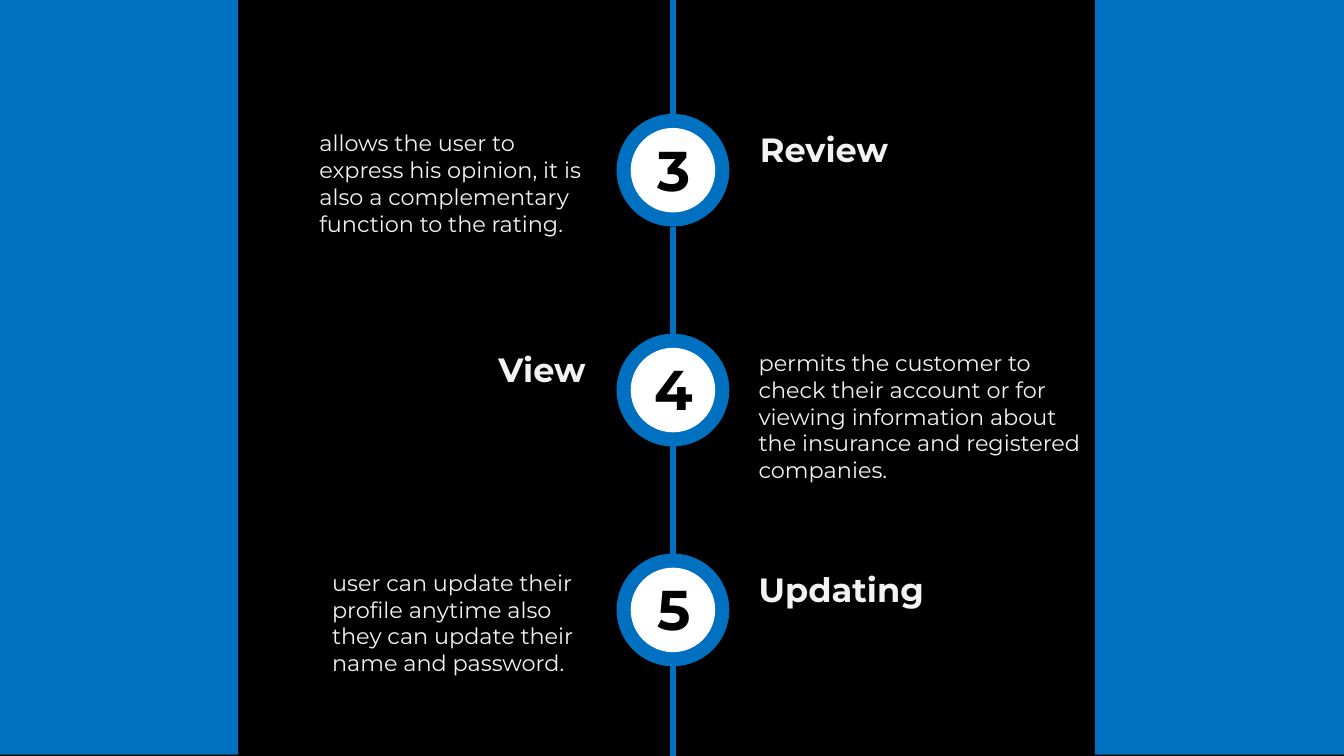
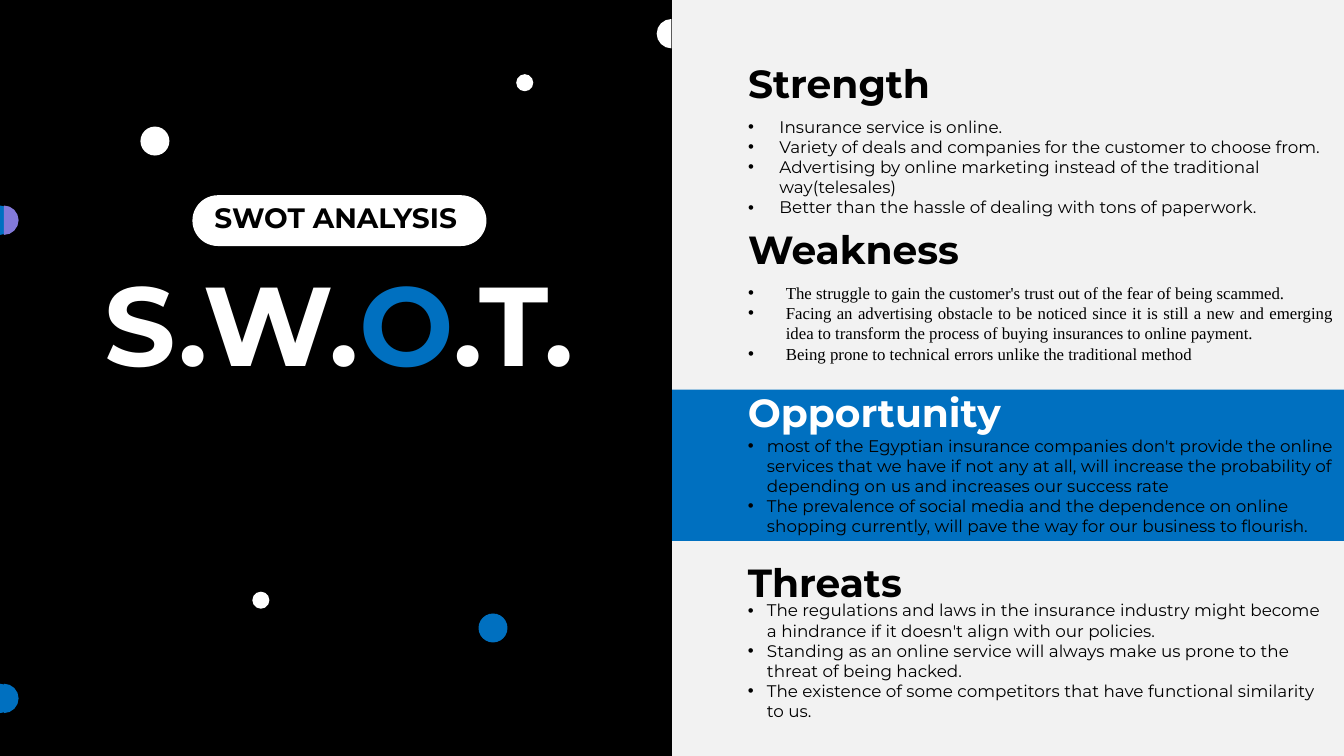
from lxml.etree import SubElement
from math import cos, pi, sin
from pptx import Presentation
from pptx.dml.color import RGBColor
from pptx.enum.shapes import MSO_CONNECTOR as Link, MSO_SHAPE as Kind
from pptx.enum.text import MSO_ANCHOR as Anchor, MSO_AUTO_SIZE as Auto, PP_ALIGN as Align
from pptx.oxml.ns import qn
from pptx.util import Cm, Pt

# Shared style
BLUE, BLACK, WHITE, PALE, PURPLE = "0070C0", "000000", "FFFFFF", "F2F2F2", "837AD9"
SANS, SERIF = "Montserrat", "Times New Roman"
WIDE, HIGH = 33.87, 19.05

# Timeline: number, (title, left, width, align), (text, left, width)
STEPS = [
    ("3", ("Review", 18.9, 9.22, Align.LEFT),
     ("allows the user to express his opinion, it is also a complementary "
      "function to the rating.", 7.8, 7.44)),
    ("4", ("View", 5.84, 9.17, Align.RIGHT),
     ("permits the customer to check their account or for viewing information "
      "about the insurance and registered companies.", 18.87, 8.64)),
    ("5", ("Updating", 18.87, 9.19, Align.LEFT),
     ("user can update their profile anytime also they can update their name "
      "and password.", 8.12, 7.06)),
]
AXIS, FIRST, STEP, RING, CORE = 16.96, 2.87, 5.54, 2.84, 2.13

# SWOT: title, colour, top, list top, indent, font, align, items
PARTS = [
    ("Strength", BLACK, 1.36, 2.81, 0.79, SANS, Align.LEFT, [
        "Insurance service is online.",
        "Variety of deals and companies for the customer to choose from.",
        "Advertising by online marketing instead of the traditional way(telesales)",
        "Better than the hassle of dealing with tons of paperwork."]),
    ("Weakness", BLACK, 5.56, 7, 0.95, SERIF, Align.JUSTIFY, [
        "The struggle to gain the customer's trust out of the fear of being scammed.",
        "Facing an advertising obstacle to be noticed since it is still a new and "
        "emerging idea to transform the process of buying insurances to online payment.",
        "Being prone to technical errors unlike the traditional method"]),
    ("Opportunity", WHITE, 9.66, 10.85, 0.48, SANS, Align.LEFT, [
        "most of the Egyptian insurance companies don't provide the online services "
        "that we have if not any at all, will increase the probability of depending "
        "on us and increases our success rate",
        "The prevalence of social media and the dependence on online shopping "
        "currently, will pave the way for our business to flourish."]),
    ("Threats", BLACK, 13.94, 15, 0.48, SANS, Align.LEFT, [
        "The regulations and laws in the insurance industry might become a hindrance "
        "if it doesn't align with our policies.",
        "Standing as an online service will always make us prone to the threat of "
        "being hacked.",
        "The existence of some competitors that have functional similarity to us."]),
]
LETTERS = [("S.W.", WHITE), ("O", BLUE), (".T.", WHITE)]
DOTS = [(3.54, 3.19, 0.73, WHITE), (6.36, 14.91, 0.43, WHITE),
        (13.01, 1.87, 0.43, WHITE), (12.06, 15.46, 0.73, BLUE)]
# Half dots: flat edge, middle, side (1 right, -1 left), colour
HALVES = [(0, 17.6, 1, BLUE), (0.1, 17.6, 1, BLUE), (0, 5.55, 1, BLUE),
          (0.1, 5.55, 1, PURPLE), (16.92, 0.85, -1, WHITE)]


def tint(code):
    return RGBColor.from_string(code)


def paint(shape, color):
    shape.shadow.inherit = False
    shape.fill.solid()
    shape.fill.fore_color.rgb = tint(color)
    shape.line.fill.background()
    return shape


def block(slide, kind, x, y, w, h, color):
    return paint(slide.shapes.add_shape(kind, Cm(x), Cm(y), Cm(w), Cm(h)), color)


def half(slide, x, y, side, color, r=0.37, cuts=8):
    turns = [pi * i / cuts - pi / 2 for i in range(cuts + 1)]
    rim = [(Cm(x + side * r * cos(t)), Cm(y + r * sin(t))) for t in turns]
    outline = slide.shapes.build_freeform(*rim[0])
    outline.add_line_segments(rim[1:], close=True)
    paint(outline.convert_to_shape(), color)


def rule(slide, top, end):
    line = slide.shapes.add_connector(Link.STRAIGHT, Cm(AXIS), Cm(top), Cm(AXIS), Cm(end))
    line.line.color.rgb, line.line.width = tint(BLUE), Pt(4.5)
    SubElement(line.element.spPr, qn("a:effectLst"))


def place(slide, x, y, w, h, holder=None):
    """Put a placeholder, or a new text box, on top at the given place."""
    box = holder or slide.shapes.add_textbox(0, 0, 0, 0)
    box.left, box.top, box.width, box.height = Cm(x), Cm(y), Cm(w), Cm(h)
    box.element.getparent().append(box.element)
    frame = box.text_frame
    frame.word_wrap, frame.auto_size = True, Auto.NONE
    frame.vertical_anchor = Anchor.TOP
    return frame


def write(frame, lines, size, color, bold=False, align=Align.LEFT, face=SANS, indent=0):
    frame.text = "\n".join(lines)
    for para in frame.paragraphs:
        para.alignment, para.space_before = align, Pt(0)
        if indent:
            props = para._p.get_or_add_pPr()
            props.set("marL", str(Cm(indent)))
            props.set("indent", str(-Cm(indent)))
            SubElement(props, qn("a:buFont"), typeface="Arial")
            SubElement(props, qn("a:buChar"), char="•")
        font = para.font
        font.name, font.size, font.bold = face, Pt(size), bold
        font.color.rgb = tint(color)


def start(deck, layout, color):
    slide = deck.slides.add_slide(deck.slide_layouts[layout])
    slide.background.fill.solid()
    slide.background.fill.fore_color.rgb = tint(color)
    return slide


def timeline(deck):
    slide = start(deck, 6, BLACK)
    # Side bands
    for x, w in ((0, 6), (27.6, 6.27)):
        block(slide, Kind.RECTANGLE, x, 0, w, 19.02, BLUE)
    # Steps, each with the stretch of axis above it
    end = 0
    for i, (number, (title, tx, tw, align), (text, x, w)) in enumerate(STEPS):
        top = FIRST + i * STEP
        rule(slide, end, top)
        end = top + RING
        for size, color in ((RING, BLUE), (CORE, WHITE)):
            block(slide, Kind.OVAL, AXIS - size / 2, top + (RING - size) / 2,
                  size, size, color)
        write(place(slide, 16.2, top + 0.41, 1.57, 1.96), [number], 40, BLACK, True,
              Align.CENTER)
        write(place(slide, tx, top + 0.26, tw, 1.27), [title], 24, PALE, True, align)
        write(place(slide, x, top + 0.26, w, 3), [text], 16, PALE)
    rule(slide, end, HIGH)


def swot(deck):
    slide = start(deck, 4, PALE)
    heading, *spare = slide.placeholders
    # Panels and dots
    block(slide, Kind.RECTANGLE, WIDE / 2, 9.82, WIDE / 2, 3.81, BLUE)
    block(slide, Kind.RECTANGLE, 0, 0, WIDE / 2, HIGH, BLACK)
    for x, y, size, color in DOTS:
        block(slide, Kind.OVAL, x, y, size, size, color)
    for spot in HALVES:
        half(slide, *spot)
    # Title and pill
    pill = block(slide, Kind.ROUNDED_RECTANGLE, 4.85, 4.92, 7.41, 1.28, WHITE)
    pill.adjustments[0] = 0.5
    write(place(slide, 2.21, 4.94, 12.5, 1.12), ["SWOT ANALYSIS"], 20, BLACK, True,
          Align.CENTER)
    para = place(slide, 1.74, 6.28, 13.64, 3.68, heading).paragraphs[0]
    para.alignment = Align.CENTER
    para.font.name, para.font.size, para.font.bold = SANS, Pt(80), True
    for text, color in LETTERS:
        run = para.add_run()
        run.text, run.font.color.rgb = text, tint(color)
    # Four lists; the layout's placeholders serve first, then text boxes
    holders = iter(spare)
    for title, color, top, below, indent, face, align, items in PARTS:
        frame = place(slide, 18.6, top, 10.5, 1.45, next(holders, None))
        write(frame, [title], 28, color, True)
        frame = place(slide, 18.6, below, 15.27, 3, next(holders, None))
        write(frame, items, 12, BLACK, False, align, face, indent)


def main():
    deck = Presentation()
    deck.slide_width, deck.slide_height = Cm(WIDE), Cm(HIGH)
    timeline(deck)
    swot(deck)
    deck.save("out.pptx")


if __name__ == "__main__":
    main()
